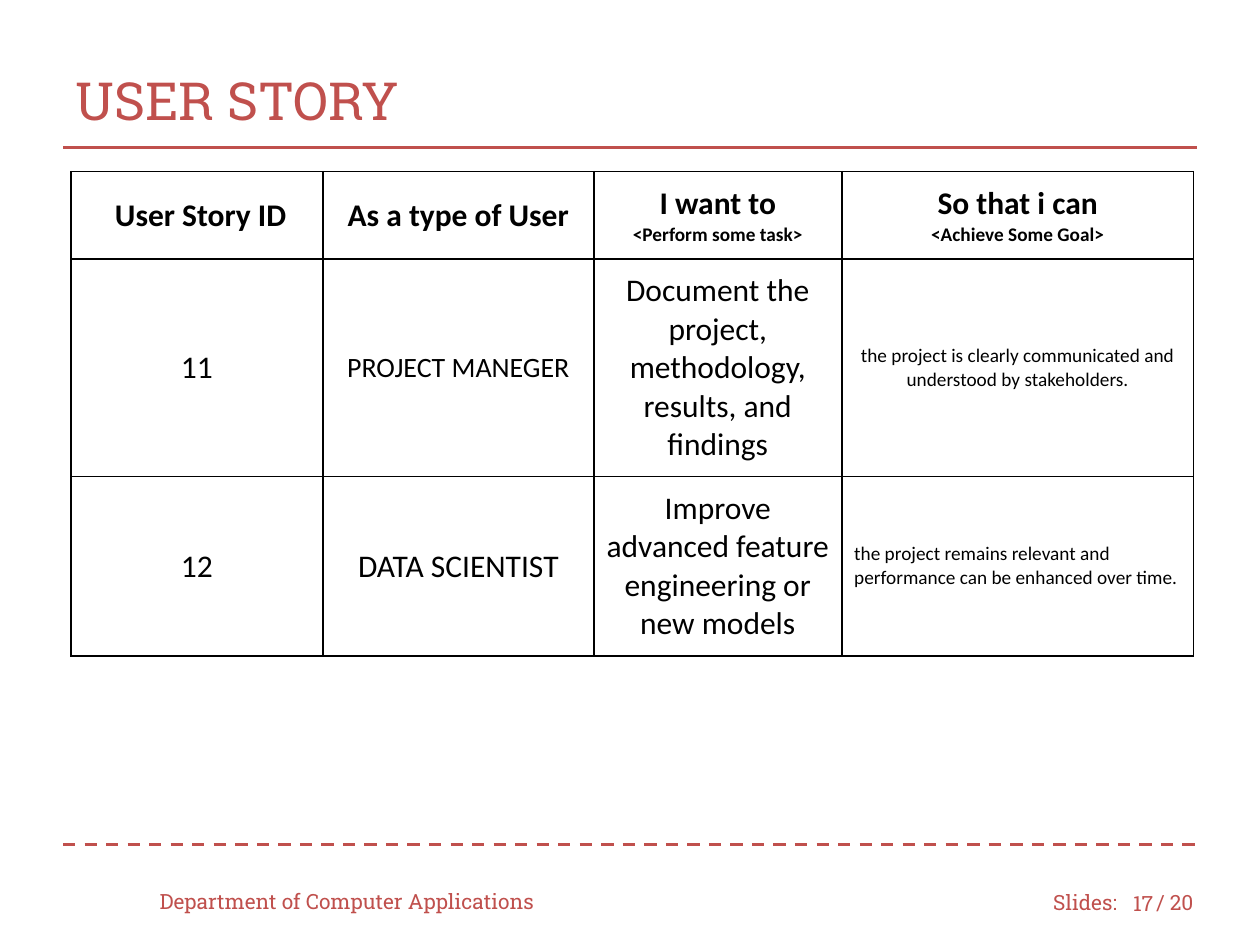
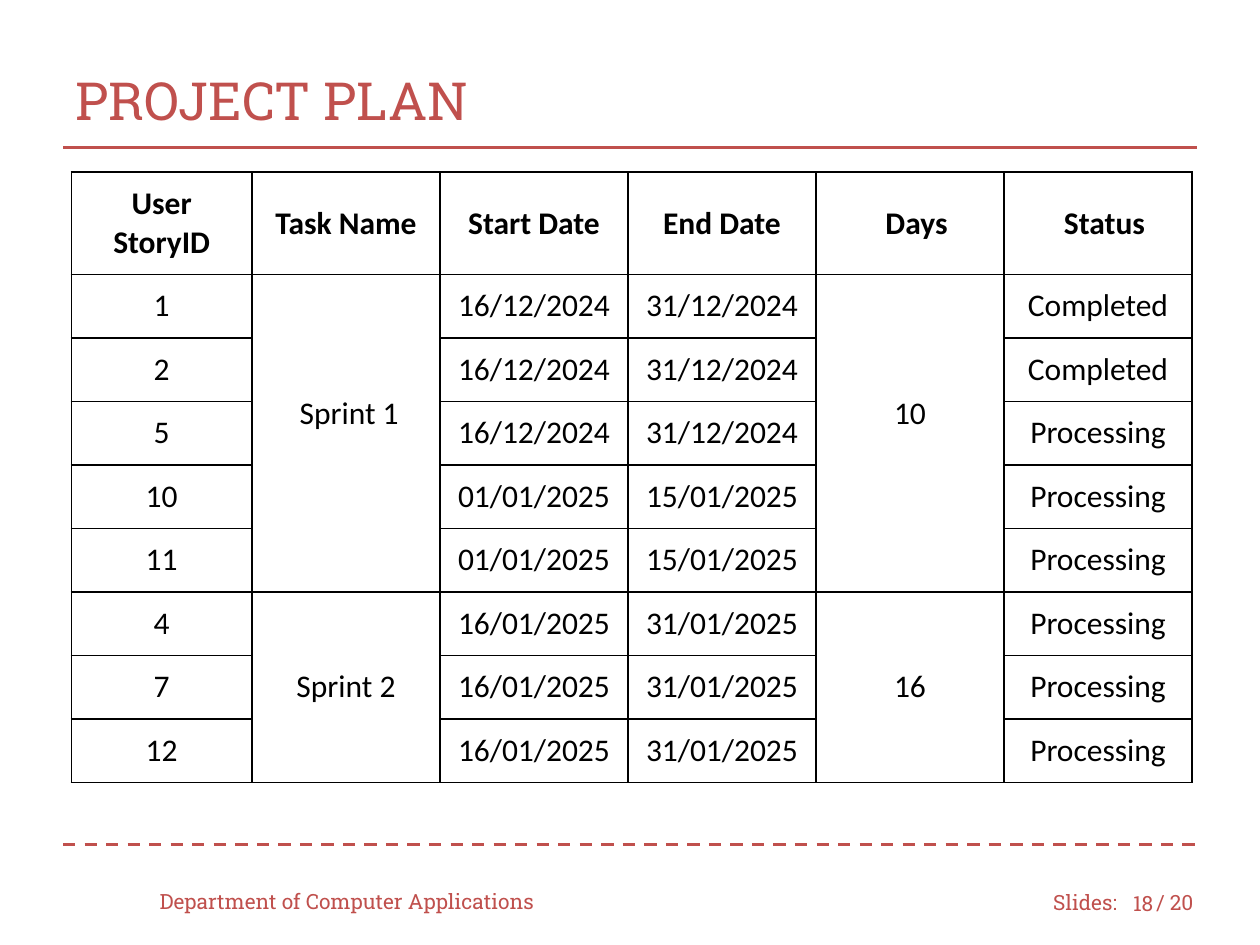
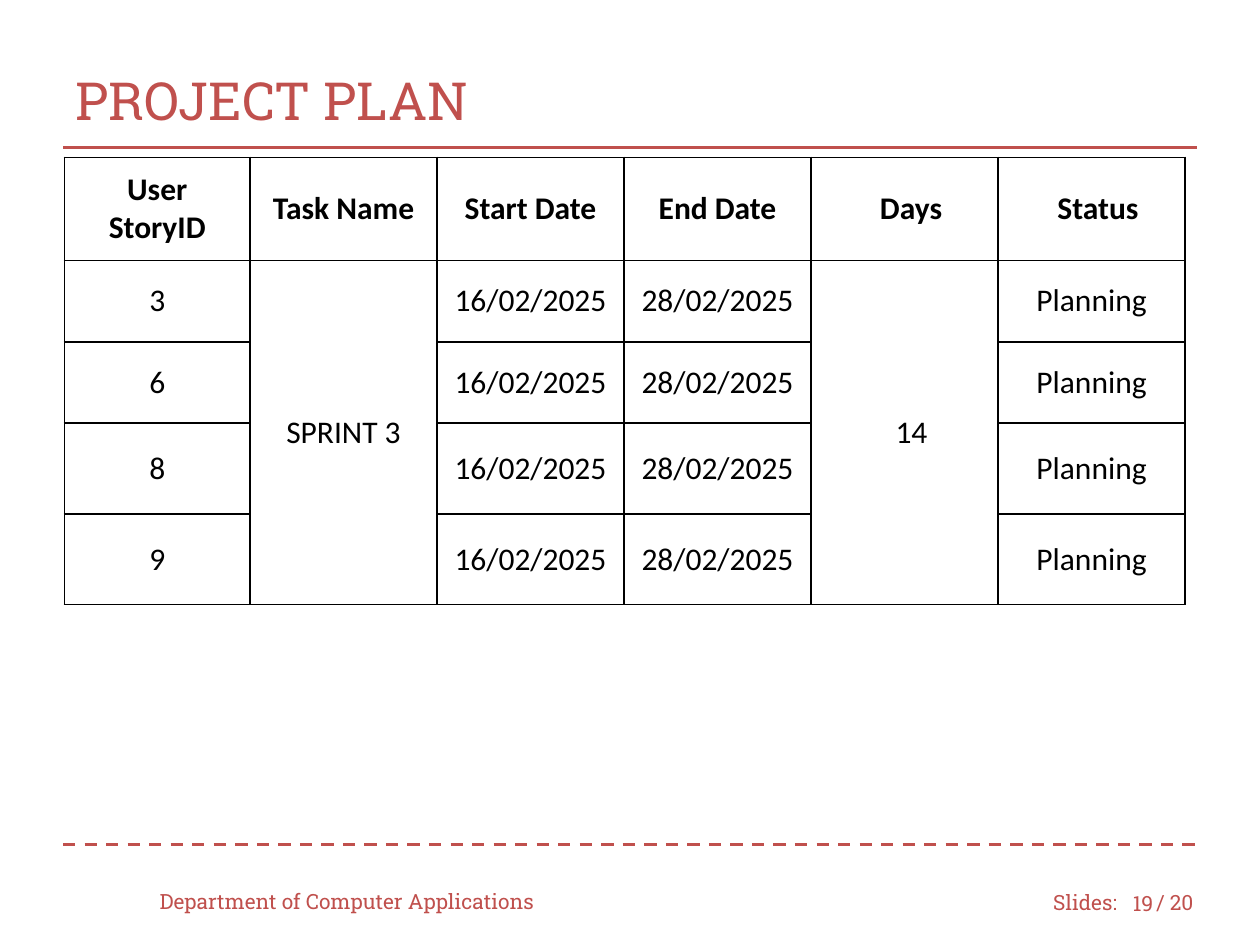
from dataclasses import dataclass
from typing import Optional, Sequence, Union

from lxml import etree
from pptx import Presentation
from pptx import util as u
from pptx.dml.color import RGBColor
from pptx.enum import dml, shapes, text
from pptx.oxml.ns import qn

ACCENT = "C0504D"
BLACK = "000000"
WHITE = "FFFFFF"
SLAB = "Roboto Slab"
BODY = "Calibri"
LEFT = text.PP_ALIGN.LEFT
CENTER = text.PP_ALIGN.CENTER
RIGHT = text.PP_ALIGN.RIGHT
CELL_MARGIN = 0.25


@dataclass(frozen=True)
class Label:
    """A line of accent text in a box measured in centimetres."""
    words: str
    left: float
    top: float
    width: float
    height: float = 1.02
    size: float = 12
    align: text.PP_ALIGN = LEFT


@dataclass(frozen=True)
class Rule:
    """A horizontal line across the slide."""
    top: float
    dash: Optional[dml.MSO_LINE] = None


@dataclass(frozen=True)
class Cell:
    """A table cell; nudge and lift widen its left and bottom margins."""
    lines: Sequence[str]
    sizes: Sequence[float] = (18,)
    bold: bool = False
    align: text.PP_ALIGN = CENTER
    nudge: float = 0
    lift: float = 0
    row_span: int = 1


@dataclass(frozen=True)
class Task:
    """One user story scheduled in a sprint."""
    story: str
    start: str
    end: str
    status: str


@dataclass(frozen=True)
class Sprint:
    """A sprint whose name and days span the rows of its tasks."""
    name: Cell
    days: Cell
    tasks: Sequence[Task]


Row = Sequence[Union[Cell, str, None]]


@dataclass(frozen=True)
class Page:
    """A numbered slide holding one table."""
    title: str
    number: int
    left: float
    top: float
    columns: Sequence[float]
    heights: Sequence[float]
    rows: Sequence[Row]


FRAME_LABELS = (
    Label("Slides:", 20.98, 17.68, 1.9),
    Label("/ 20", 23.06, 17.68, 1.47),
    Label("Department of Computer Applications", 2.97, 17.65, 8.46),
)
FRAME_RULES = (Rule(17.02, dml.MSO_LINE.DASH), Rule(2.97))

STORY_ROWS = (
    (
        Cell(("User Story ID",), bold=True, nudge=0.15),
        Cell(("As a type of User",), bold=True),
        Cell(("I want to", "<Perform some task>"), (18, 11), bold=True),
        Cell(("So that i can", "<Achieve Some Goal>"), (18, 11), bold=True),
    ),
    (
        "11",
        Cell(("PROJECT MANEGER",), (16,)),
        "Document the project, methodology, results, and findings",
        Cell(("the project is clearly communicated and understood by stakeholders.",), (11,)),
    ),
    (
        "12",
        "DATA SCIENTIST",
        "Improve advanced feature engineering or new models",
        Cell(("the project remains relevant and performance can be enhanced over time.",),
             (11,), align=LEFT),
    ),
)

PLAN_HEADER = (
    Cell(("User", "StoryID"), (18, 18), bold=True),
    *(Cell((name,), bold=True) for name in ("Task Name", "Start Date", "End Date")),
    *(Cell((name,), bold=True, nudge=0.26) for name in ("Days", "Status")),
)

EARLY_SPRINTS = (
    Sprint(
        Cell(("Sprint 1",), nudge=0.13, lift=0.77, row_span=5),
        Cell(("10",), lift=0.77, row_span=5),
        (
            Task("1", "16/12/2024", "31/12/2024", "Completed"),
            Task("2", "16/12/2024", "31/12/2024", "Completed"),
            Task("5", "16/12/2024", "31/12/2024", "Processing"),
            Task("10", "01/01/2025", "15/01/2025", "Processing"),
            Task("11", "01/01/2025", "15/01/2025", "Processing"),
        ),
    ),
    Sprint(
        Cell(("Sprint 2",), row_span=3),
        Cell(("16",), row_span=3),
        tuple(Task(story, "16/01/2025", "31/01/2025", "Processing")
              for story in ("4", "7", "12")),
    ),
)

LATE_SPRINTS = (
    Sprint(
        Cell(("SPRINT 3",), row_span=4),
        Cell(("14",), nudge=0.28, row_span=4),
        tuple(Task(story, "16/02/2025", "28/02/2025", "Planning")
              for story in ("3", "6", "8", "9")),
    ),
)


def plan_rows(sprints: Sequence[Sprint]) -> list[Row]:
    """Turn sprints into table rows below the plan header."""
    rows: list[Row] = [PLAN_HEADER]
    for sprint in sprints:
        for index, task in enumerate(sprint.tasks):
            name, days = (sprint.name, sprint.days) if index == 0 else (None, None)
            rows.append((task.story, name, task.start, task.end, days, task.status))
    return rows


PAGES = (
    Page("USER STORY", 17, 1.43, 3.46, (5.08, 5.46, 5, 7.09),
         (1.76, 4.39, 3.61), STORY_ROWS),
    Page("PROJECT PLAN", 18, 1.44, 3.47, (3.64,) + (3.79,) * 5,
         (2.06,) + (1.28,) * 8, plan_rows(EARLY_SPRINTS)),
    Page("PROJECT PLAN", 19, 1.3, 3.17, (3.74,) + (3.77,) * 5,
         (2.08, 1.64, 1.64, 1.83, 1.83), plan_rows(LATE_SPRINTS)),
)


def color(value: str) -> RGBColor:
    """Return the colour for a hex string."""
    return RGBColor.from_string(value)


def style_paragraph(paragraph, align, font_name: str, size: float,
                    ink: str, bold: bool = False) -> None:
    """Align a paragraph and format its runs."""
    paragraph.alignment = align
    for run in paragraph.runs:
        run.font.name = font_name
        run.font.size = u.Pt(size)
        run.font.bold = bold
        run.font.color.rgb = color(ink)


def add_label(slide, label: Label) -> None:
    """Draw a label in the accent colour."""
    shape = slide.shapes.add_textbox(u.Cm(label.left), u.Cm(label.top),
                                     u.Cm(label.width), u.Cm(label.height))
    text_frame = shape.text_frame
    text_frame.word_wrap = True
    text_frame.vertical_anchor = text.MSO_ANCHOR.MIDDLE
    text_frame.text = label.words
    style_paragraph(text_frame.paragraphs[0], label.align, SLAB, label.size, ACCENT)


def add_rule(slide, rule: Rule) -> None:
    """Draw a rule between the side margins."""
    connector = slide.shapes.add_connector(
        shapes.MSO_CONNECTOR.STRAIGHT,
        u.Cm(1.27), u.Cm(rule.top), u.Cm(24.13), u.Cm(rule.top))
    connector.line.color.rgb = color(ACCENT)
    connector.line.width = u.Pt(1.75)
    if rule.dash is not None:
        connector.line.dash_style = rule.dash
    etree.SubElement(connector.element.spPr, qn("a:effectLst"))


def add_borders(table_cell) -> None:
    """Give a table cell thin black borders on every side."""
    properties = table_cell._tc.get_or_add_tcPr()
    for side in ("a:lnL", "a:lnR", "a:lnT", "a:lnB"):
        line = etree.SubElement(properties, qn(side), w=str(u.Pt(1)))
        fill = etree.SubElement(line, qn("a:solidFill"))
        etree.SubElement(fill, qn("a:srgbClr"), val=BLACK)


def fill_cell(table_cell, cell: Cell) -> None:
    """Write and format the text of a table cell."""
    table_cell.margin_left = u.Cm(CELL_MARGIN + cell.nudge)
    table_cell.margin_bottom = u.Cm(CELL_MARGIN + cell.lift)
    table_cell.margin_right = table_cell.margin_top = u.Cm(CELL_MARGIN)
    table_cell.vertical_anchor = text.MSO_ANCHOR.MIDDLE
    table_cell.text_frame.text = "\n".join(cell.lines)
    for paragraph, size in zip(table_cell.text_frame.paragraphs, cell.sizes):
        style_paragraph(paragraph, cell.align, BODY, size, BLACK, cell.bold)


def add_page_table(slide, page: Page) -> None:
    """Draw the table of a page."""
    table = slide.shapes.add_table(
        len(page.rows), len(page.columns), u.Cm(page.left), u.Cm(page.top),
        u.Cm(sum(page.columns)), u.Cm(sum(page.heights))).table
    table.first_row = table.horz_banding = False
    for column, width in zip(table.columns, page.columns):
        column.width = u.Cm(width)
    for table_row, height in zip(table.rows, page.heights):
        table_row.height = u.Cm(height)
    for row_index, row in enumerate(page.rows):
        for column_index, content in enumerate(row):
            table_cell = table.cell(row_index, column_index)
            add_borders(table_cell)
            table_cell.fill.solid()
            table_cell.fill.fore_color.rgb = color(WHITE)
            if content is None:
                continue
            cell = Cell((content,)) if isinstance(content, str) else content
            fill_cell(table_cell, cell)
            if cell.row_span > 1:
                table_cell.merge(table.cell(row_index + cell.row_span - 1, column_index))


def add_page(presentation, page: Page) -> None:
    """Add a slide with the shared frame, its title, number and table."""
    slide = presentation.slides.add_slide(presentation.slide_layouts[6])
    for rule in FRAME_RULES:
        add_rule(slide, rule)
    title = Label(page.title, 1.27, 0.84, 22.86, 2.34, 30)
    number = Label(str(page.number), 22.43, 17.7, 1.07, align=RIGHT)
    for label in (*FRAME_LABELS, title, number):
        add_label(slide, label)
    add_page_table(slide, page)


def main() -> None:
    """Build and save the presentation."""
    presentation = Presentation()
    presentation.slide_width = u.Cm(25.4)
    presentation.slide_height = u.Cm(19.05)
    for page in PAGES:
        add_page(presentation, page)
    presentation.save("out.pptx")


if __name__ == "__main__":
    main()
